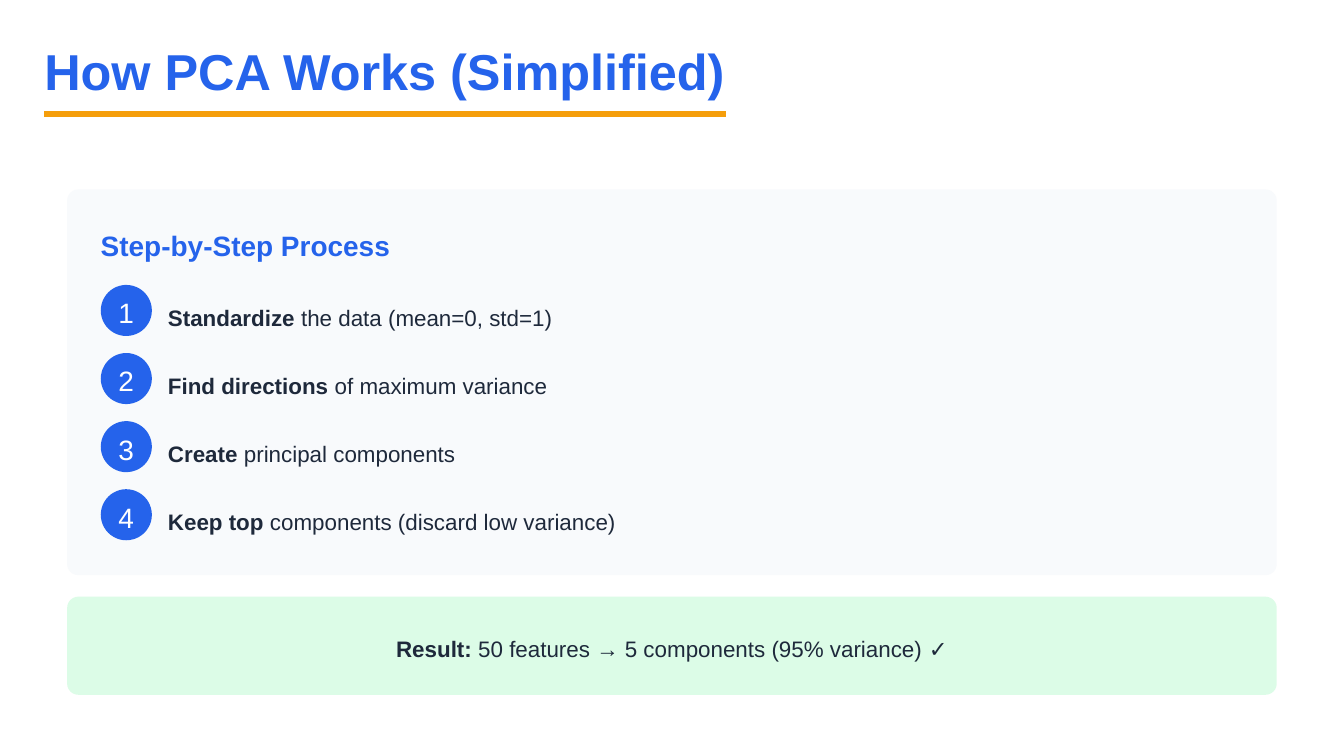
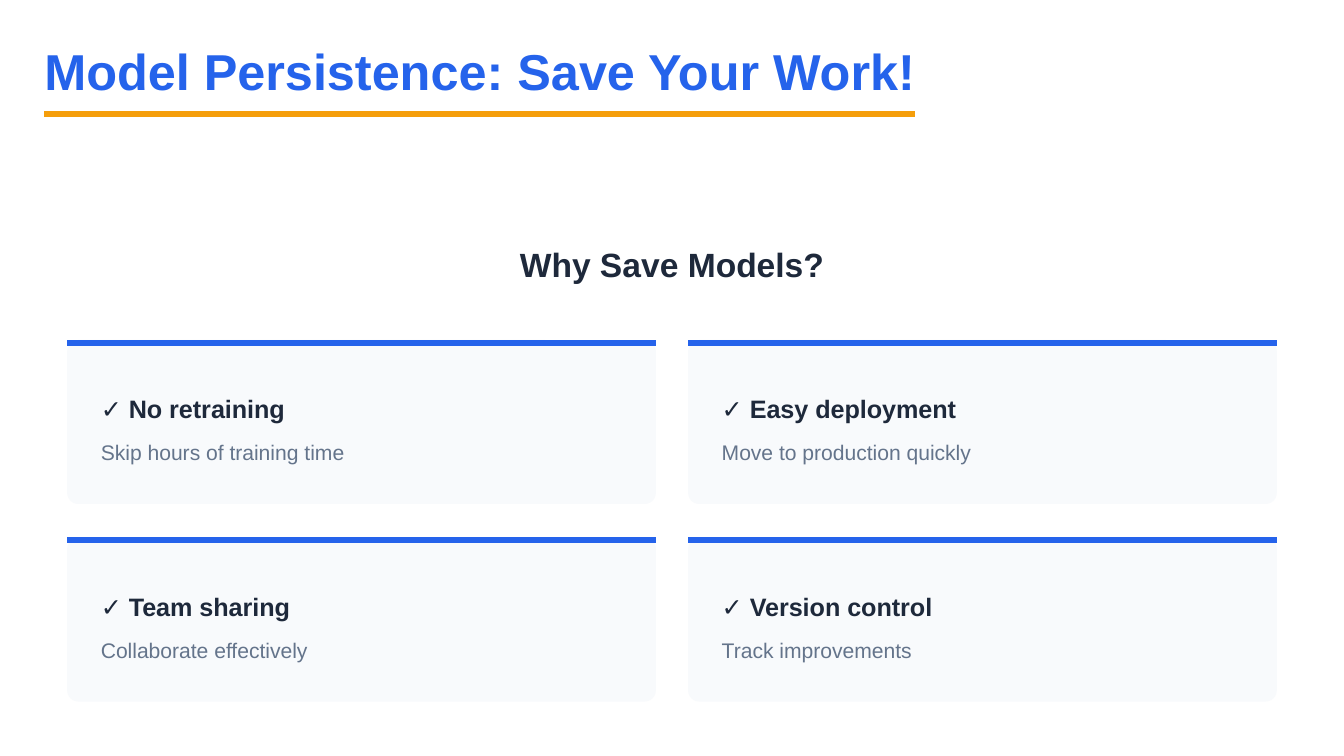
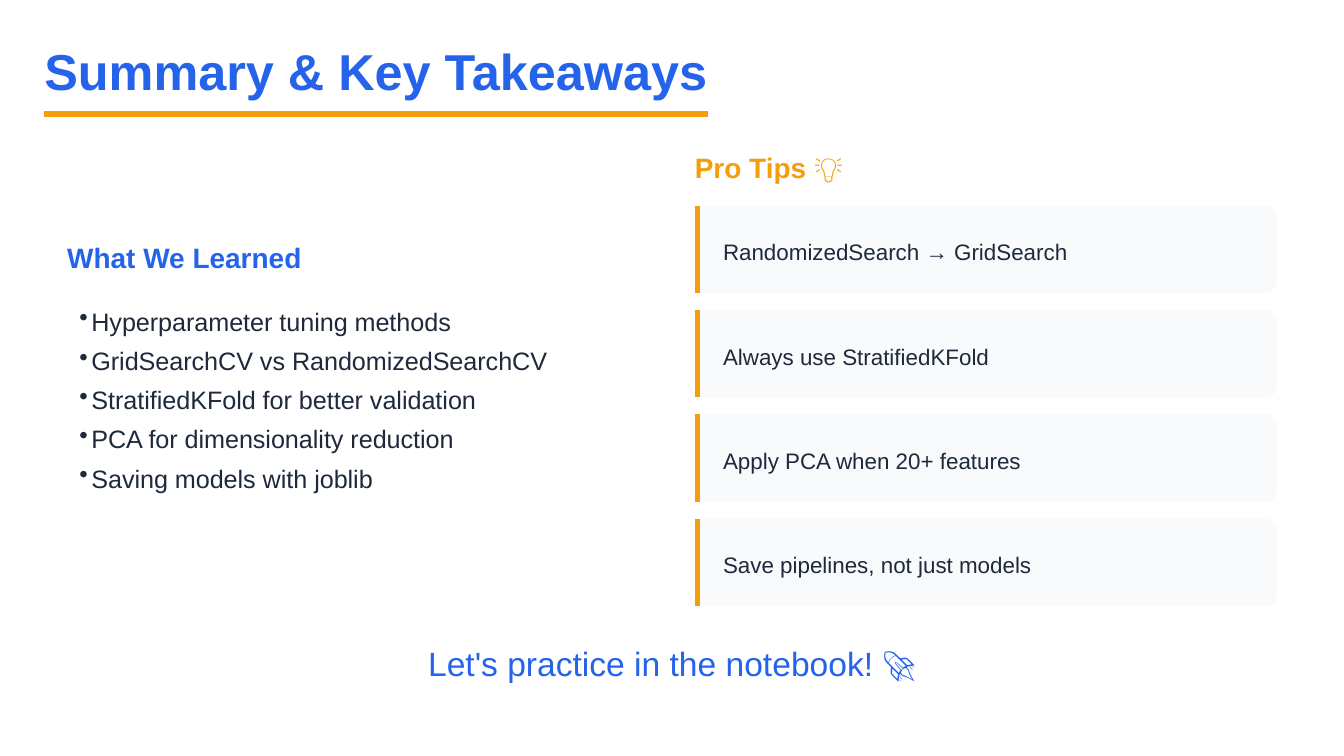
"""Build three slides on PCA, model persistence and key takeaways."""
import pptx
import pptx.dml.color
import pptx.enum.shapes
import pptx.enum.text
import pptx.util
from lxml import etree
from pptx.oxml.ns import qn
from pptx.util import Inches, Pt

FONT = "Arial"
COLORS = {
    "blue": "2563EB",
    "amber": "F59E0B",
    "ink": "1E293B",
    "muted": "64748B",
    "panel": "F8FAFC",
    "mint": "DCFCE7",
    "white": "FFFFFF",
}
# Each style holds font size, line spacing and space after, in points.
STYLES = {
    "title": (27, 30, 0),
    "headline": (18, 24, 0),
    "heading": (15, 21, 12),
    "badge": (15, 21, 0),
    "card": (13.5, 21, 6),
    "bullet": (13.5, 21, 0),
    "body": (12, 16.8, 3),
    "detail": (11.25, 15.75, 3),
}

STEPS = [
    ("Standardize", " the data (mean=0, std=1)"),
    ("Find directions", " of maximum variance"),
    ("Create", " principal components"),
    ("Keep top", " components (discard low variance)"),
]
RESULT = ("Result:", " 50 features → 5 components (95% variance) ✓")
REASONS = [
    ("No retraining", "Skip hours of training time"),
    ("Easy deployment", "Move to production quickly"),
    ("Team sharing", "Collaborate effectively"),
    ("Version control", "Track improvements"),
]
LESSONS = [
    "Hyperparameter tuning methods",
    "GridSearchCV vs RandomizedSearchCV",
    "StratifiedKFold for better validation",
    "PCA for dimensionality reduction",
    "Saving models with joblib",
]
TIPS = [
    "RandomizedSearch → GridSearch",
    "Always use StratifiedKFold",
    "Apply PCA when 20+ features",
    "Save pipelines, not just models",
]


def rgb(color):
    return pptx.dml.color.RGBColor.from_string(COLORS[color])


def spread(first, last, count):
    """Return evenly spaced positions from first to last."""
    return [first + (last - first) * index / (count - 1) for index in range(count)]


def place(shape, left, top, width, height):
    shape.left, shape.top = Inches(left), Inches(top)
    shape.width, shape.height = Inches(width), Inches(height)


def write(shape, paragraphs, style, color, centered=False, inset=(0, 0), bullet=False):
    """Fill a shape with paragraphs, each a list of (text, bold) runs."""
    size, line, after = STYLES[style]
    frame = shape.text_frame
    frame.word_wrap = True
    frame.auto_size = pptx.enum.text.MSO_AUTO_SIZE.NONE
    frame.vertical_anchor = pptx.enum.text.MSO_ANCHOR.TOP
    frame.margin_left, frame.margin_top = Inches(inset[0]), Inches(inset[1])
    frame.margin_right = frame.margin_bottom = 0
    alignment = pptx.enum.text.PP_ALIGN
    for index, runs in enumerate(paragraphs):
        paragraph = frame.add_paragraph() if index else frame.paragraphs[0]
        paragraph.alignment = alignment.CENTER if centered else alignment.LEFT
        paragraph.line_spacing = Pt(line)
        paragraph.space_after = Pt(after)
        if bullet:
            properties = paragraph._p.get_or_add_pPr()
            properties.set("marL", str(Inches(0.09)))
            properties.set("indent", str(-Inches(0.09)))
            etree.SubElement(properties, qn("a:buSzPct")).set("val", "100000")
            etree.SubElement(properties, qn("a:buChar")).set("char", "•")
        for text, bold in runs:
            run = paragraph.add_run()
            run.text = text
            run.font.name = FONT
            run.font.size = Pt(size)
            run.font.bold = bold
            run.font.color.rgb = rgb(color)
        if bullet:
            ending = etree.SubElement(paragraph._p, qn("a:endParaRPr"))
            ending.set("sz", str(int(size * 100)))


def add_text(slide, box, paragraphs, style, color, **options):
    shape = slide.shapes.add_textbox(*map(Inches, box))
    write(shape, paragraphs, style, color, **options)


def add_panel(slide, box, fill="panel", radius=Pt(6)):
    shape = slide.shapes.add_shape(
        pptx.enum.shapes.MSO_SHAPE.ROUNDED_RECTANGLE, *map(Inches, box))
    shape.adjustments[0] = min(0.5, radius / min(shape.width, shape.height))
    shape.shadow.inherit = False
    shape.fill.solid()
    shape.fill.fore_color.rgb = rgb(fill)
    shape.line.fill.background()


def add_rule(slide, start, end, color):
    rule = slide.shapes.add_connector(
        pptx.enum.shapes.MSO_CONNECTOR.STRAIGHT, *map(Inches, start + end))
    rule.line.color.rgb = rgb(color)
    rule.line.width = Pt(3)
    etree.SubElement(rule._element.spPr, qn("a:effectLst"))


def add_slide(presentation, title, title_width):
    """Add a slide with the shared title and its underline."""
    slide = presentation.slides.add_slide(presentation.slide_layouts[5])
    place(slide.shapes.title, 0.33, 0.33, title_width * 1.02, 0.42)
    write(slide.shapes.title, [[(title, True)]], "title", "blue")
    add_rule(slide, (0.33, 0.85), (0.33 + title_width, 0.85), "amber")
    return slide


def build_process(presentation):
    slide = add_slide(presentation, "How PCA Works (Simplified)", 5.07)
    add_panel(slide, (0.5, 1.41, 9, 2.87))
    add_text(slide, (0.75, 1.66, 8.67, 0.29), [[("Step-by-Step Process", True)]],
             "heading", "blue")
    tops = spread(2.12, 3.64, len(STEPS))
    for number, (top, (action, rest)) in enumerate(zip(tops, STEPS), 1):
        add_panel(slide, (0.75, top, 0.38, 0.38), "blue", radius=Inches(0.19))
        add_text(slide, (0.88, top + 0.04, 0.12, 0.29), [[(str(number), False)]],
                 "badge", "white")
        add_text(slide, (1.25, top + 0.04, 8.16, 0.3), [[(action, True), (rest, False)]],
                 "body", "ink", inset=(0, 0.07))
    add_panel(slide, (0.5, 4.44, 9, 0.73), "mint")
    add_text(slide, (0.62, 4.69, 8.76, 0.23), [[(RESULT[0], True), (RESULT[1], False)]],
             "body", "ink", centered=True)


def build_reasons(presentation):
    slide = add_slide(presentation, "Model Persistence: Save Your Work!", 6.48)
    add_text(slide, (0.41, 1.78, 9.18, 0.33), [[("Why Save Models?", True)]],
             "headline", "ink", centered=True)
    width, height = 4.38, 1.22
    for index, (reason, detail) in enumerate(REASONS):
        row, column = divmod(index, 2)
        left, top = 0.5 + column * 4.62, 2.53 + row * 1.47
        add_panel(slide, (left, top, width, height))
        add_rule(slide, (left, top + 0.02), (left + width, top + 0.02), "blue")
        add_text(slide, (left + 0.25, top + 0.33, 3.95, 0.29),
                 [[("✓ ", False), (reason, True)]], "card", "ink")
        add_text(slide, (left + 0.25, top + 0.71, 3.95, 0.22),
                 [[(detail, False)]], "detail", "muted")


def build_summary(presentation):
    slide = add_slide(presentation, "Summary & Key Takeaways", 4.94)
    add_text(slide, (0.5, 1.75, 4.42, 0.29), [[("What We Learned", True)]],
             "heading", "blue")
    add_text(slide, (0.5, 2.21, 4.33, 1.62), [[(lesson, False)] for lesson in LESSONS],
             "bullet", "ink", inset=(0.09, 0), bullet=True)
    left, width, height = 5.17, 4.33, 0.65
    add_text(slide, (left, 1.08, 4.42, 0.29), [[("Pro Tips 💡", True)]],
             "heading", "amber")
    for top, tip in zip(spread(1.53, 3.86, len(TIPS)), TIPS):
        add_panel(slide, (left, top, width, height))
        add_rule(slide, (left + 0.02, top), (left + 0.02, top + height), "amber")
        add_text(slide, (left + 0.21, top + 0.21, 4.04, 0.23), [[(tip, False)]],
                 "body", "ink")
    add_text(slide, (0.24, 4.75, 9.52, 0.33),
             [[("Let's practice in the notebook! 🚀", False)]],
             "headline", "blue", centered=True)


def main():
    presentation = pptx.Presentation()
    presentation.slide_width = Inches(10)
    presentation.slide_height = Inches(10) * 9 // 16
    build_process(presentation)
    build_reasons(presentation)
    build_summary(presentation)
    presentation.save("out.pptx")


if __name__ == "__main__":
    main()
